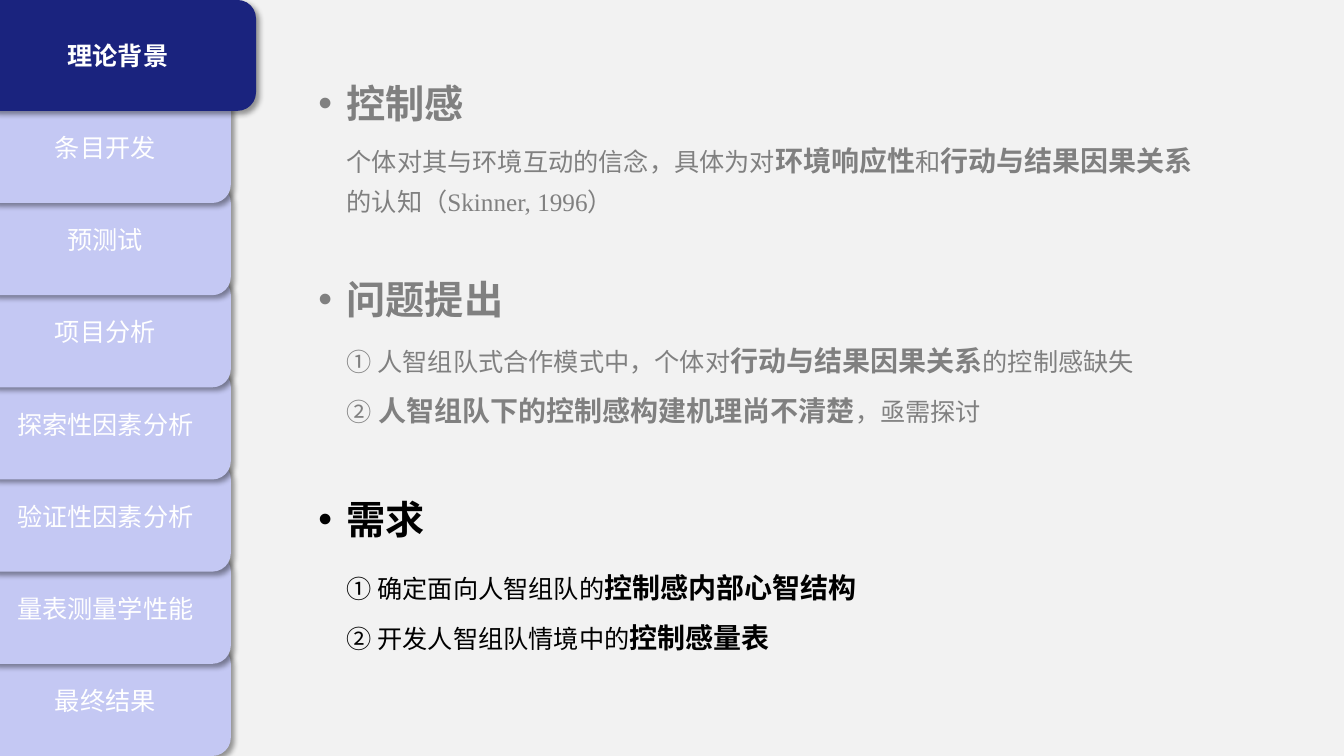
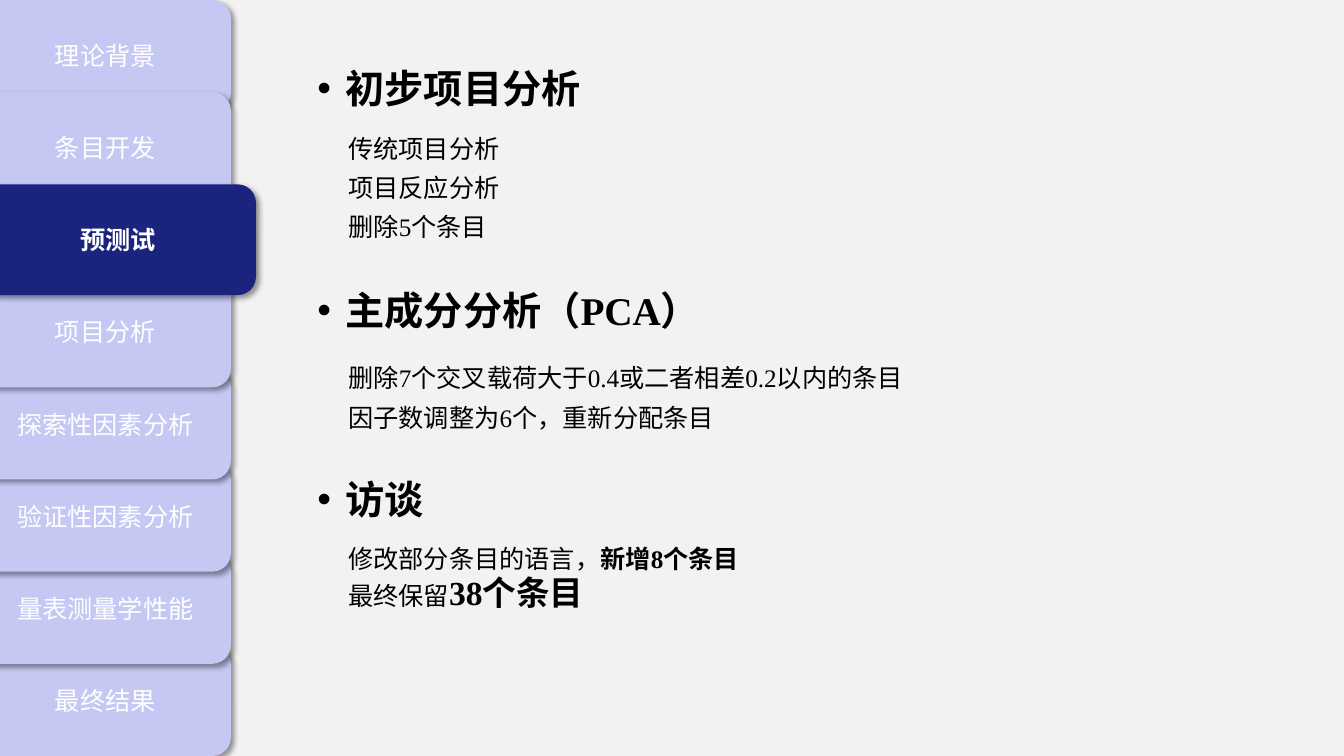
from collections import namedtuple
from dataclasses import dataclass, field

from lxml.etree import SubElement
from pptx import Presentation
from pptx.dml.color import RGBColor
from pptx.enum.shapes import MSO_SHAPE
from pptx.enum.text import MSO_ANCHOR, PP_ALIGN
from pptx.oxml.ns import qn
from pptx.util import Pt

Box = namedtuple("Box", "x y w h")
Section = namedtuple("Section", "top gap leading color heading lines")


@dataclass(frozen=True)
class Theme:
    """Colours, fonts and type sizes shared by the slides."""
    back: str = "F2F2F2"
    tab: str = "C4C8F3"
    active: str = "1A237E"
    white: str = "FFFFFF"
    ink: str = "000000"
    muted: str = "808080"
    latin: str = "Times New Roman"
    asian: str = "Noto Sans CJK SC"
    styles: dict = field(default_factory=lambda: {
        "heading": {"size": Pt(28), "bold": True},
        "plain": {"size": Pt(18), "bold": False},
        "bold": {"size": Pt(18), "bold": True},
        "key": {"size": Pt(20), "bold": True},
        "big": {"size": Pt(24), "bold": True},
    })


T = Theme()
SLIDE = Box(0, 0, 960, 540)
SIDEBAR = Box(-14.4, 0, 179.3, 540)
TAB_H = 79.2
ACTIVE_EXTRA = 18
HEADING_H = 41
TABS = ["理论背景", "条目开发", "预测试", "项目分析",
        "探索性因素分析", "验证性因素分析", "量表测量学性能", "最终结果"]

BACKGROUND = [
    Section(53.3, 41.7, 28, T.muted, "控制感", [
        [("个体对其与环境互动的信念，具体为对", "plain"), ("环境响应性", "key"),
         ("和", "plain"), ("行动与结果因果关系", "key"),
         ("的认知（Skinner, 1996）", "plain")]]),
    Section(193, 36.7, 36, T.muted, "问题提出", [
        [("① 人智组队式合作模式中，个体对", "plain"),
         ("行动与结果因果关系", "key"), ("的控制感缺失", "plain")],
        [("②", "plain"), (" 人智组队下的控制感构建机理尚不清楚", "key"),
         ("，亟需探讨", "plain")]]),
    Section(350.6, 41.1, 36, T.ink, "需求", [
        [("① 确定面向人智组队的", "plain"), ("控制感内部心智结构", "key")],
        [("② 开发人智组队情境中的", "plain"), ("控制感量表", "key")]]),
]

PRETEST = [
    Section(42.5, 42.5, 28, T.ink, "初步项目分析", [
        [("传统项目分析", "plain")],
        [("项目反应分析", "plain")],
        [("删除5个条目", "plain")]]),
    Section(200.9, 48.2, 28, T.ink, "主成分分析（PCA）", [
        [("删除7个交叉载荷大于0.4或二者相差0.2以内的条目", "plain")],
        [("因子数调整为6个，重新分配条目", "plain")]]),
    Section(336.2, 41.8, 28, T.ink, "访谈", [
        [("修改部分条目的语言，", "plain"), ("新增8个条目", "bold")],
        [("最终保留", "plain"), ("38个条目", "big")]]),
]

SLIDES = [
    (0, Box(204.5, 0, 658, 540), 36, BACKGROUND),
    (2, Box(203.8, 0, 658, 540), 38, PRETEST),
]


def points(box):
    """Turn a box into four lengths."""
    return [Pt(v) for v in box]


def add_run(p, text, style, color, latin=T.latin):
    """Append a styled run with Latin and East Asian fonts."""
    r = p.add_run()
    r.text = text
    for name, value in {**T.styles[style], "name": latin}.items():
        setattr(r.font, name, value)
    r.font.color.rgb = RGBColor.from_string(color)
    latin_el = r.font._element.find(qn("a:latin"))
    ea = latin_el.makeelement(qn("a:ea"), {"typeface": T.asian})
    latin_el.addnext(ea)


def add_text(s, box):
    """Add a wrapping text box and return its text frame."""
    tf = s.shapes.add_textbox(*points(box)).text_frame
    tf.word_wrap = True
    return tf


def add_shadow(sp):
    """Give a shape a soft shadow toward the lower right."""
    sp.shadow.inherit = False
    effects = sp._element.spPr.find(qn("a:effectLst"))
    shadow = SubElement(effects, qn("a:outerShdw"), blurRad=str(Pt(4)),
                        dist=str(Pt(3)), dir="2700000", algn="tl",
                        rotWithShape="0")
    color = SubElement(shadow, qn("a:srgbClr"), val="000000")
    SubElement(color, qn("a:alpha"), val="40000")


def add_tab(s, box, label, active):
    """Draw one sidebar tab."""
    sp = s.shapes.add_shape(MSO_SHAPE.ROUNDED_RECTANGLE, *points(box))
    sp.fill.solid()
    sp.fill.fore_color.rgb = RGBColor.from_string(T.active if active else T.tab)
    sp.line.fill.background()
    add_shadow(sp)
    tf = sp.text_frame
    tf.vertical_anchor = MSO_ANCHOR.MIDDLE
    p = tf.paragraphs[0]
    p.alignment = PP_ALIGN.CENTER
    add_run(p, label, "bold" if active else "plain", T.white, T.asian)


def add_sidebar(s, box, current):
    """Stack the tabs so that those nearer the current one lie on top."""
    pitch = (box.h - TAB_H) / (len(TABS) - 1)
    for i in sorted(range(len(TABS)), key=lambda n: -abs(n - current)):
        active = i == current
        w = box.w + ACTIVE_EXTRA * active
        add_tab(s, Box(box.x, box.y + i * pitch, w, TAB_H), TABS[i], active)


def add_heading(s, box, text, color):
    """Write a bulleted section heading."""
    p = add_text(s, box).paragraphs[0]
    pPr = p._p.get_or_add_pPr()
    pPr.set("marL", str(Pt(36)))
    pPr.set("indent", str(Pt(-20.25)))
    SubElement(pPr, qn("a:buFont"), typeface="Arial")
    SubElement(pPr, qn("a:buChar"), char="•")
    add_run(p, text, "heading", color)


def add_section(s, box, indent, section):
    """Write a heading and the lines under it."""
    top = box.y + section.top
    add_heading(s, Box(box.x, top, box.w, HEADING_H),
                section.heading, section.color)
    height = section.leading * len(section.lines) + 7.2
    tf = add_text(s, Box(box.x + indent, top + section.gap,
                         box.w - indent, height))
    for i, line in enumerate(section.lines):
        p = tf.add_paragraph() if i else tf.paragraphs[0]
        p.line_spacing = Pt(section.leading)
        for text, style in line:
            add_run(p, text, style, section.color)


def main():
    """Build and save the presentation."""
    prs = Presentation()
    prs.slide_width, prs.slide_height = Pt(SLIDE.w), Pt(SLIDE.h)
    fill = prs.slide_master.background.fill
    fill.solid()
    fill.fore_color.rgb = RGBColor.from_string(T.back)
    for current, panel, indent, sections in SLIDES:
        s = prs.slides.add_slide(prs.slide_layouts.get_by_name("Blank"))
        for section in sections:
            add_section(s, panel, indent, section)
        add_sidebar(s, SIDEBAR, current)
    prs.save("out.pptx")


if __name__ == "__main__":
    main()
